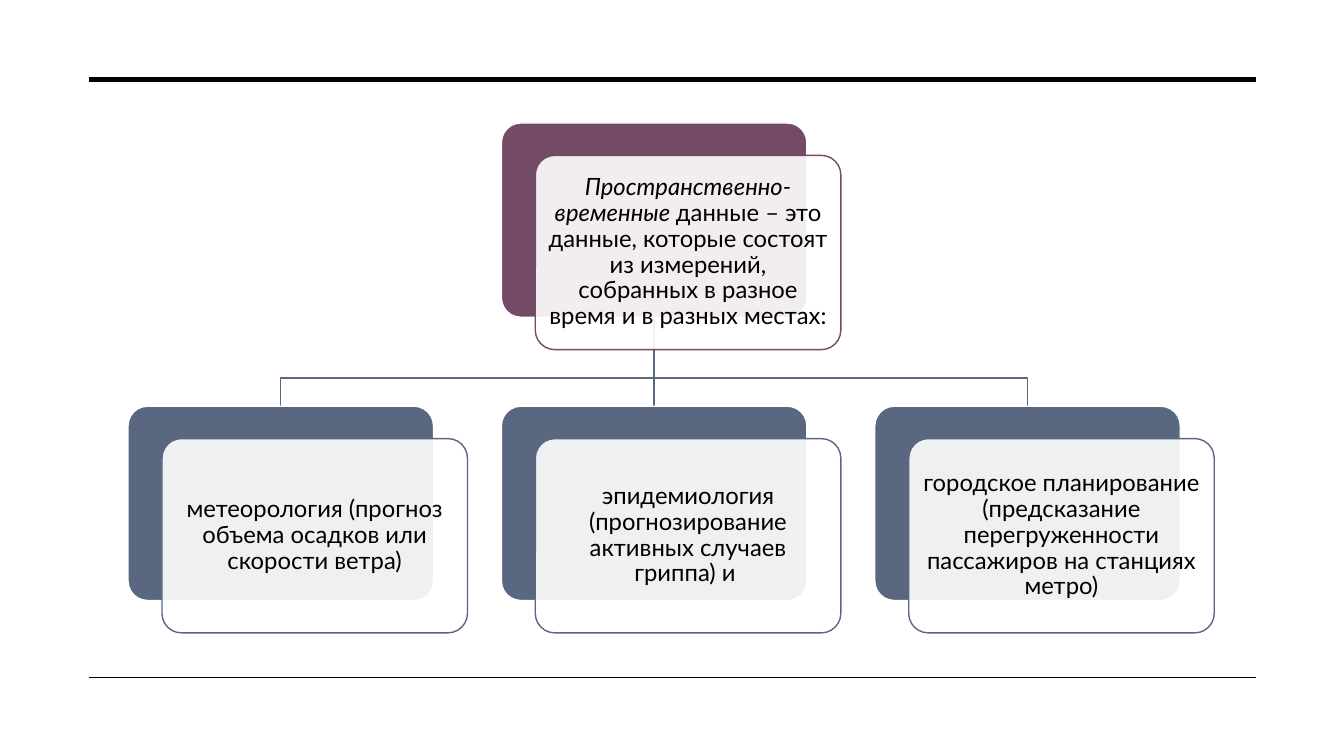
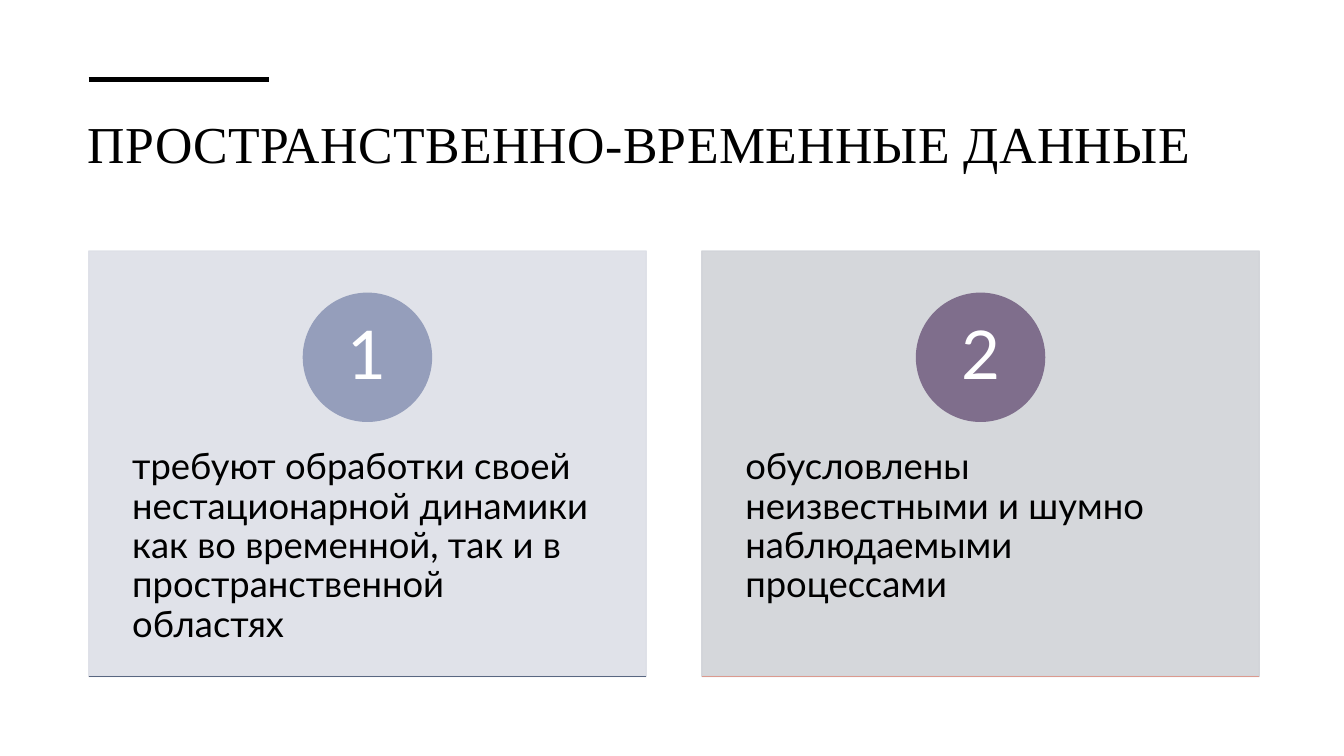
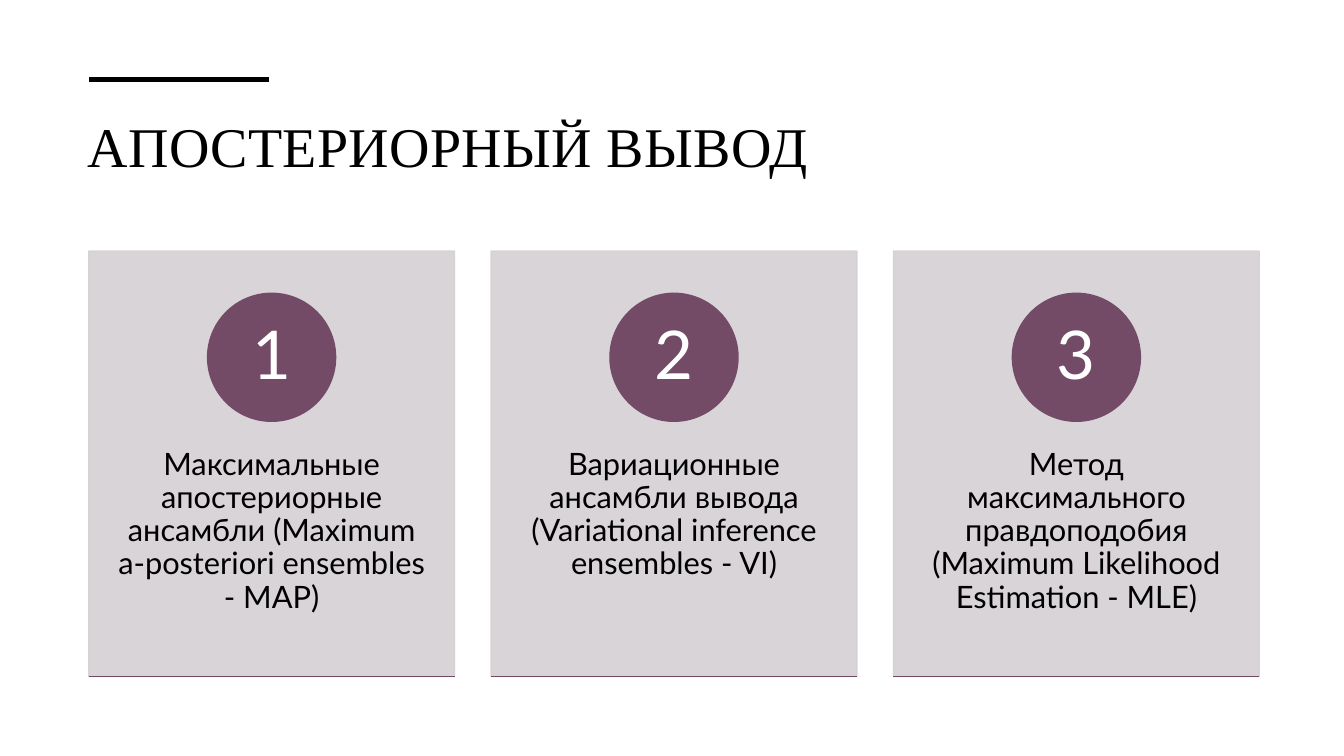
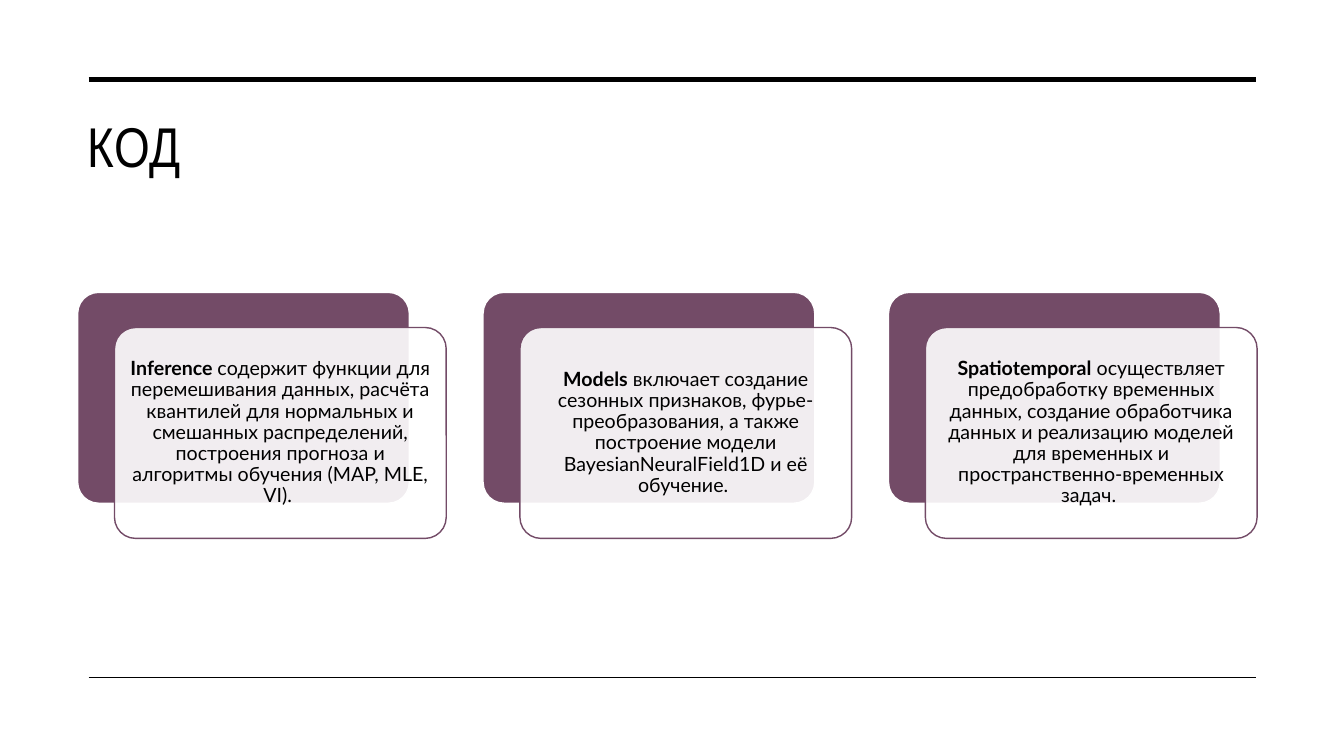
from dataclasses import dataclass

from lxml import etree
from pptx import Presentation
from pptx.dml.color import RGBColor
from pptx.enum import shapes, text
from pptx.oxml import ns
from pptx.util import Inches, Pt


@dataclass(frozen=True)
class Theme:
    black: str = "000000"
    white: str = "FFFFFF"
    plum: str = "734B67"
    slate: str = "596781"
    body: str = "Lato"
    serif: str = "Times New Roman"
    narrow: str = "Arial Narrow"
    title_size: int = 40
    title_small: int = 37
    number_size: int = 48
    panel_large: int = 26
    panel_small: int = 22
    card_large: int = 17
    card_small: int = 14
    thin: float = 1
    thick: float = 3.5


@dataclass(frozen=True)
class Box:
    x: float
    y: float
    w: float
    h: float

    def lengths(self):
        return [Inches(v) for v in (self.x, self.y, self.w, self.h)]


T = Theme()
LEFT, RIGHT = 0.88, 12.46
TOP_RULE, BOTTOM_RULE = 0.79, 6.72
ALIGN = text.PP_ALIGN
ANCHOR = text.MSO_ANCHOR
SHAPE = shapes.MSO_SHAPE

CARD_RATIO = 0.636    # card height / width
CARD_SHIFT_X = 1 / 9  # front card offset / width
CARD_SHIFT_Y = 0.106
CARD_PITCH = 11 / 9   # distance between cards / width


def set_line(line, colour, width=T.thin):
    line.color.rgb = RGBColor.from_string(colour)
    line.width = Pt(width)


def set_alpha(sp, percent, query):
    """Make the colours that the query finds partly transparent."""
    for colour in sp._element.spPr.xpath(query):
        etree.SubElement(colour, ns.qn("a:alpha"), val=str(percent * 1000))


def add_shape(slide, kind, box, fill, line):
    sp = slide.shapes.add_shape(kind, *box.lengths())
    sp.shadow.inherit = False
    sp.fill.solid()
    sp.fill.fore_color.rgb = RGBColor.from_string(fill)
    set_line(sp.line, line)
    return sp


def add_line(slide, start, end, colour=T.black, width=T.thin):
    line = slide.shapes.add_connector(
        shapes.MSO_CONNECTOR.STRAIGHT, *[Inches(v) for v in (*start, *end)])
    set_line(line.line, colour, width)
    etree.SubElement(line._element.spPr, ns.qn("a:effectLst"))


def write(sp, runs, size, insets, colour=T.black, font=T.body,
          align=ALIGN.CENTER, anchor=ANCHOR.MIDDLE, spacing=0.9):
    """Fill a shape with one paragraph of (text, format) runs."""
    tf = sp.text_frame
    left, top, right, bottom = [Inches(v) for v in insets]
    frame = {"word_wrap": True, "vertical_anchor": anchor,
             "margin_left": left, "margin_top": top,
             "margin_right": right, "margin_bottom": bottom}
    for name, value in frame.items():
        setattr(tf, name, value)
    p = tf.paragraphs[0]
    p.alignment, p.line_spacing = align, spacing
    for words, extra in runs:
        r = p.add_run()
        r.text = words
        for name, value in {"name": font, "size": Pt(size), **extra}.items():
            setattr(r.font, name, value)
        r.font.color.rgb = RGBColor.from_string(colour)
    return p


def title(slide, words, size=T.title_size, font=T.serif):
    sp = slide.shapes.add_textbox(*Box(0.77, 1, 11.81, 1.15).lengths())
    p = write(sp, [(words, {})], size, (0.1, 0.11, 0.1, 0.05), font=font,
              align=ALIGN.LEFT, anchor=ANCHOR.TOP, spacing=1.0)
    p.runs[0].font._element.set("spc", "30")


def short_rule(slide):
    add_line(slide, (LEFT, TOP_RULE), (2.67, TOP_RULE), width=T.thick)


def full_rules(slide):
    for y, width in ((TOP_RULE, T.thick), (BOTTOM_RULE, T.thin)):
        add_line(slide, (LEFT, y), (RIGHT, y), width=width)


def card(slide, x, y, w, colour, runs, size):
    """A coloured card with a translucent text card shifted over it."""
    h = w * CARD_RATIO
    back = Box(x, y, w, h)
    front = Box(x + w * CARD_SHIFT_X, y + w * CARD_SHIFT_Y, w, h)
    for box, fill, line in ((back, colour, T.white), (front, T.white, colour)):
        sp = add_shape(slide, SHAPE.ROUNDED_RECTANGLE, box, fill, line)
        sp.adjustments[0] = 0.1
    set_alpha(sp, 90, "./a:solidFill/a:srgbClr")
    write(sp, runs, size, [size * 0.004] * 4)


def card_row(slide, x, y, w, colour, items, size):
    for i, runs in enumerate(items):
        card(slide, x + i * w * CARD_PITCH, y, w, colour, runs, size)


def branches(slide, x, top, bend, bottom, reach):
    """Lines from one parent down to three children."""
    add_line(slide, (x, top), (x, bottom), T.slate)
    for end in (x - reach, x + reach):
        points = [(x, top), (x, bend), (end, bend), (end, bottom)]
        (start, *rest) = [(Inches(a), Inches(b)) for a, b in points]
        builder = slide.shapes.build_freeform(*start)
        builder.add_line_segments(rest, close=False)
        sp = builder.convert_to_shape()
        sp.shadow.inherit = False
        sp.fill.background()
        set_line(sp.line, T.slate)


def panel(slide, box, number, words, colours, size, align):
    """A tinted panel with a number in a circle and a rule below."""
    tint, circle, rule = colours
    side = box.w * 0.078
    sp = add_shape(slide, SHAPE.RECTANGLE, box, tint, tint)
    set_alpha(sp, 90, ".//a:srgbClr")
    write(sp, [(words, {})], size, (side, 1.96, side, 0.45),
          align=align, anchor=ANCHOR.TOP)
    d = 1.27
    disc = Box(box.x + (box.w - d) / 2, box.y + 0.42, d, d)
    sp = add_shape(slide, SHAPE.OVAL, disc, circle, circle)
    write(sp, [(str(number), {})], T.number_size, (0.1, 0.01, 0.1, 0.01), T.white)
    bottom = box.y + box.h
    add_line(slide, (box.x, bottom), (box.x + box.w, bottom), rule)


def panel_row(slide, box, items, size, align):
    """Equal panels, with gaps of a tenth of a panel."""
    n = len(items)
    w = box.w / (n + 0.1 * (n - 1))
    for i, (words, colours) in enumerate(items):
        place = Box(box.x + i * w * 1.1, box.y, w, box.h)
        panel(slide, place, i + 1, words, colours, size, align)


def definition_slide(slide):
    full_rules(slide)
    w, x, y = 3.03, 1.27, 4.03
    pitch = w * CARD_PITCH
    branches(slide, x + pitch + w / 2, 3.15, 3.75, y, pitch)
    card(slide, x + pitch, 1.22, w, T.plum, [
        ("Пространственно-временные ", {"italic": True}),
        ("данные – это данные, которые состоят из измерений, "
         "собранных в разное время и в разных местах:", {})], T.card_large)
    examples = [
        "метеорология (прогноз объема осадков или скорости ветра)",
        "эпидемиология (прогнозирование активных случаев гриппа) и ",
        "городское планирование (предсказание перегруженности "
        "пассажиров на станциях метро)"]
    card_row(slide, x, y, w, T.slate, [[(s, {})] for s in examples], T.card_large)


def panel_slide(slide, heading, heading_size, items, size, align):
    title(slide, heading, heading_size)
    short_rule(slide)
    panel_row(slide, Box(LEFT, 2.49, 11.61, 4.22), items, size, align)


def code_slide(slide):
    title(slide, "КОД", font=T.narrow)
    full_rules(slide)
    modules = [
        ("Inference ",
         "cодержит функции для перемешивания данных, расчёта квантилей для "
         "нормальных и смешанных распределений, построения прогноза и "
         "алгоритмы обучения (MAP, MLE, VI). "),
        ("Models",
         " включает создание сезонных признаков, фурье-преобразования, а также "
         "построение модели BayesianNeuralField1D и её обучение. "),
        ("Spatiotemporal",
         " осуществляет предобработку временных данных, создание обработчика "
         "данных и реализацию моделей для временных и "
         "пространственно-временных задач. ")]
    items = [[(name, {"bold": True}), (words, {})] for name, words in modules]
    card_row(slide, 0.77, 2.9, 3.29, T.plum, items, T.card_small)


def main():
    prs = Presentation()
    prs.slide_width, prs.slide_height = Inches(13.33), Inches(7.5)

    def new_slide():
        return prs.slides.add_slide(prs.slide_layouts[6])

    definition_slide(new_slide())
    panel_slide(new_slide(), "ПРОСТРАНСТВЕННО-ВРЕМЕННЫЕ ДАННЫЕ", T.title_small, [
        ("требуют обработки своей нестационарной динамики как во временной, "
         "так и в пространственной областях", ("DDDFE7", "959EBB", T.slate)),
        ("обусловлены неизвестными и шумно наблюдаемыми процессами",
         ("D1D3D8", "7F6E8C", "DB9A8F"))], T.panel_large, ALIGN.LEFT)
    plum_panel = ("D5D0D3", T.plum, T.plum)
    methods = [
        "Максимальные апостериорные ансамбли (Maximum a-posteriori ensembles - MAP)",
        "Вариационные ансамбли вывода (Variational inference ensembles - VI)",
        "Метод максимального правдоподобия (Maximum Likelihood Estimation - MLE)"]
    panel_slide(new_slide(), "АПОСТЕРИОРНЫЙ ВЫВОД", T.title_size,
                [(s, plum_panel) for s in methods], T.panel_small, ALIGN.CENTER)
    code_slide(new_slide())
    prs.save("out.pptx")


if __name__ == "__main__":
    main()
